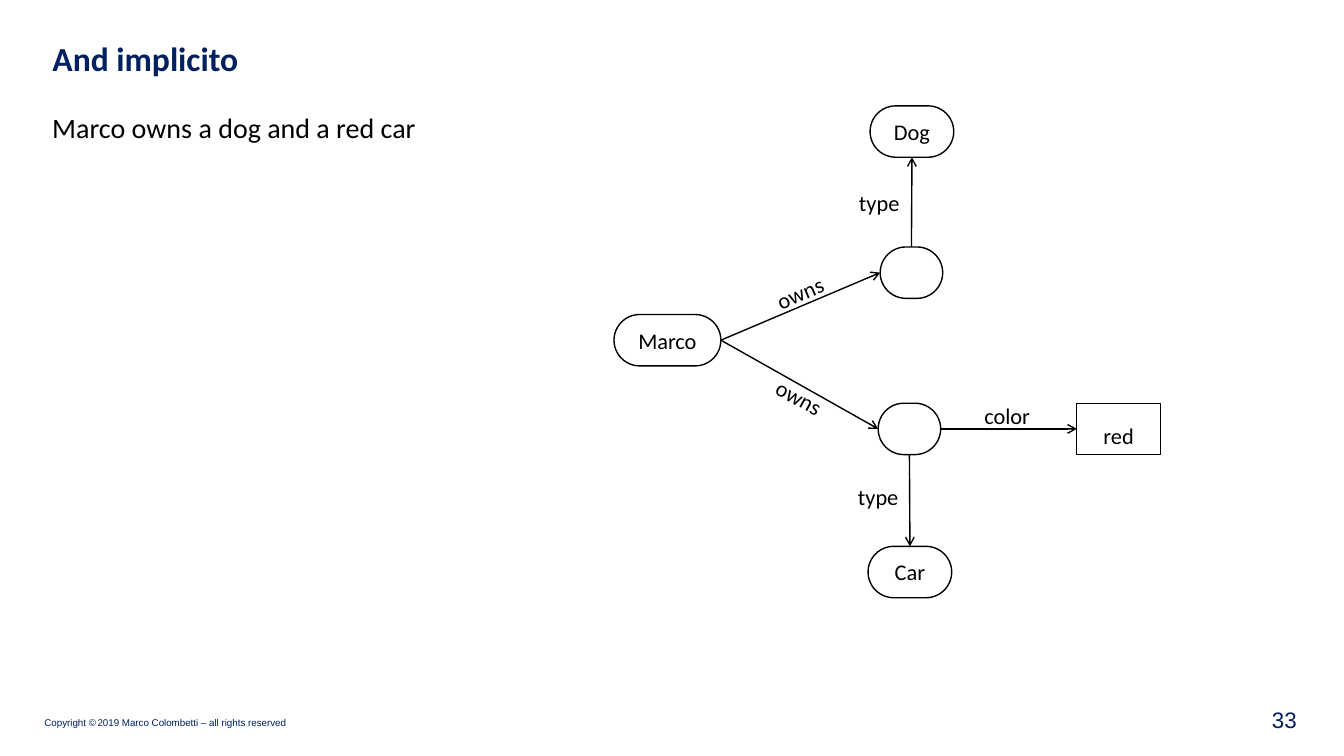
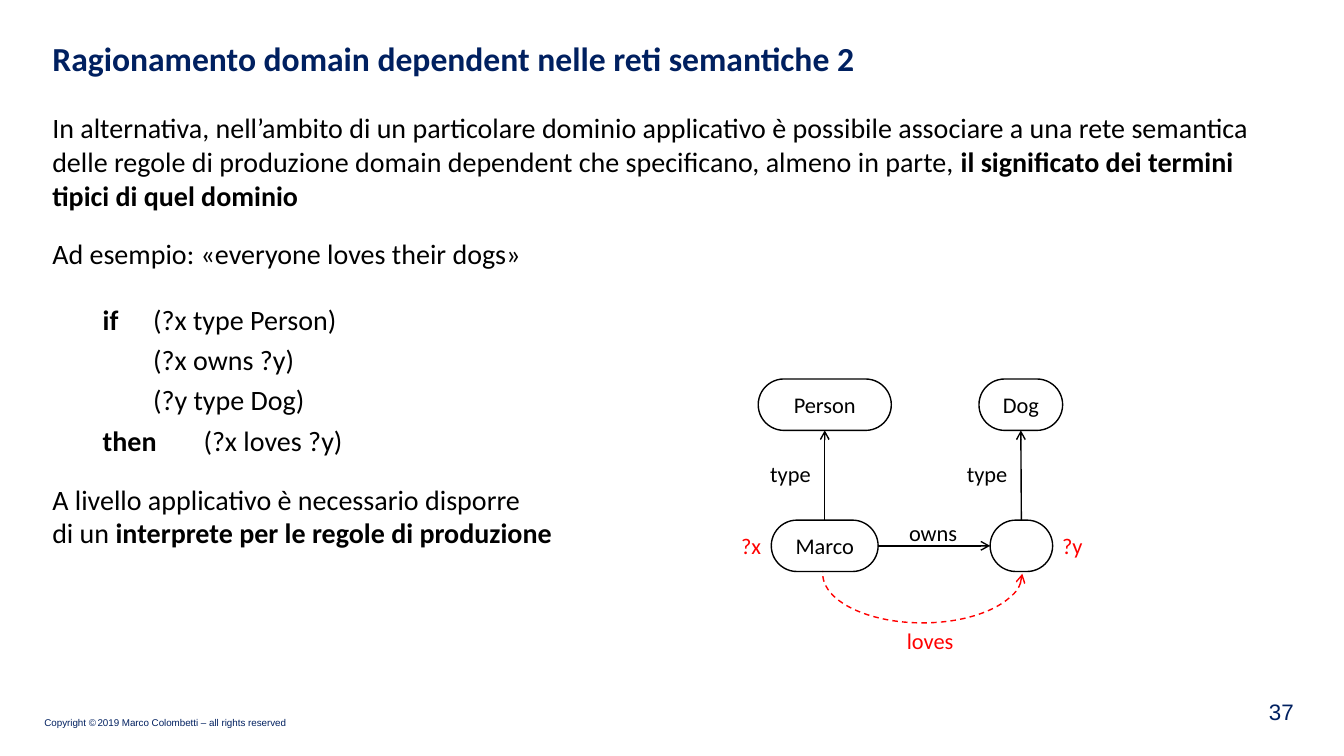
from dataclasses import dataclass

from lxml import etree
from pptx import Presentation
from pptx.dml.color import RGBColor
from pptx.enum.dml import MSO_LINE
from pptx.enum.shapes import MSO_CONNECTOR, MSO_SHAPE
from pptx.enum.text import MSO_ANCHOR, MSO_AUTO_SIZE, PP_ALIGN
from pptx.oxml.ns import qn
from pptx.util import Inches, Pt

LEFT, CENTER, RIGHT = PP_ALIGN.LEFT, PP_ALIGN.CENTER, PP_ALIGN.RIGHT
TOP, MIDDLE, BOTTOM = MSO_ANCHOR.TOP, MSO_ANCHOR.MIDDLE, MSO_ANCHOR.BOTTOM
ROUND, RECT, ARC = MSO_SHAPE.ROUNDED_RECTANGLE, MSO_SHAPE.RECTANGLE, MSO_SHAPE.ARC
STRAIGHT, DASH, FIT = MSO_CONNECTOR.STRAIGHT, MSO_LINE.DASH, MSO_AUTO_SIZE.SHAPE_TO_FIT_TEXT
NORTH, WEST, SOUTH, EAST = range(4)


@dataclass(frozen=True)
class Theme:
    """Hold the colours, fonts and sizes of the deck."""
    navy: RGBColor = RGBColor(0x00, 0x20, 0x60)
    black: RGBColor = RGBColor(0, 0, 0)
    red: RGBColor = RGBColor(0xFF, 0, 0)
    main: str = "Calibri"
    foot: str = "Arial"
    title: float = 24
    body: float = 20
    node: float = 16
    page: float = 16
    small: float = 7
    thin: float = 4
    line: float = 1
    tall: float = 0.51
    label: float = 0.37


T = Theme()


def area(box):
    """Turn a box in inches into lengths."""
    return [Inches(side) for side in box]


def write(para, text, size, color=T.black, bold=False, font=T.main):
    """Add one run to a paragraph."""
    run = para.add_run()
    run.text = text
    run.font.name, run.font.size, run.font.bold = font, Pt(size), bold
    run.font.color.rgb = color


def panel(slide, box, anchor=TOP, wrap=True):
    """Add an empty text box and return its frame."""
    frame = slide.shapes.add_textbox(*area(box)).text_frame
    frame.word_wrap, frame.vertical_anchor = wrap, anchor
    return frame


def stroke(shape, color=T.black, end=None):
    """Style a line, with an arrow at one end if asked."""
    shape.line.color.rgb = color
    shape.line.width = Pt(T.line)
    if end:
        line = shape.element.spPr.find(qn("a:ln"))
        etree.SubElement(line, qn(end), type="arrow")


def head(slide, box, text):
    """Place the title."""
    title = slide.shapes.title
    title.left, title.top, title.width, title.height = area(box)
    frame = title.text_frame
    frame.vertical_anchor = TOP
    para = frame.paragraphs[0]
    para.alignment = LEFT
    write(para, text, T.title, T.navy, True)


def foot(slide, box):
    """Place the copyright line."""
    frame = panel(slide, box, BOTTOM, False)
    frame.margin_left = frame.margin_right = Inches(0.02)
    frame.margin_top = frame.margin_bottom = Inches(0.02)
    para = frame.paragraphs[0]
    for text, size in (("Copyright ©", T.small), (" ", T.thin),
                       ("2019 Marco Colombetti – all rights reserved", T.small)):
        write(para, text, size, T.navy, font=T.foot)


def page(slide, box, number):
    """Place the page number."""
    para = panel(slide, box, MIDDLE).paragraphs[0]
    para.alignment = RIGHT
    write(para, number, T.page, T.navy, font=T.foot)


def body(slide, box, items):
    """Place paragraphs given as gap, line spacing and runs."""
    frame = panel(slide, box)
    for index, (gap, lead, runs) in enumerate(items):
        para = frame.add_paragraph() if index else frame.paragraphs[0]
        para.space_before, para.line_spacing = Pt(gap), lead
        tabs = etree.SubElement(para._p.get_or_add_pPr(), qn("a:tabLst"))
        for stop in (0.5, 1, 1.5):
            etree.SubElement(tabs, qn("a:tab"), pos=str(Inches(stop)), algn="l")
        for text, bold in runs:
            if text == "\n":
                para.add_line_break()
            else:
                write(para, text, T.body, bold=bold)


def node(slide, box, text, kind=ROUND):
    """Draw one node of a graph."""
    shape = slide.shapes.add_shape(kind, *area(box))
    shape.shadow.inherit = False
    shape.fill.background()
    stroke(shape)
    frame = shape.text_frame
    frame.vertical_anchor = MIDDLE
    para = frame.paragraphs[0]
    para.alignment = CENTER
    if kind == ROUND:
        shape.adjustments[0] = 0.5
    else:
        para.line_spacing = 1.5
    if text:
        write(para, text, T.node)
    return shape


def link(slide, start, side, stop, port):
    """Join two nodes with an arrow."""
    line = slide.shapes.add_connector(STRAIGHT, 0, 0, 0, 0)
    line.begin_connect(start, side)
    line.end_connect(stop, port)
    stroke(line, end="a:tailEnd")
    etree.SubElement(line.element.spPr, qn("a:effectLst"))


def label(slide, box, text, turn=0, color=T.black):
    """Place one label, turned by some degrees."""
    shape = slide.shapes.add_textbox(*area(box))
    shape.rotation = turn
    frame = shape.text_frame
    frame.word_wrap, frame.auto_size = False, FIT
    para = frame.paragraphs[0]
    para.alignment = CENTER
    write(para, text, T.node, color)


def graph(slide, box, nodes, links, labels):
    """Draw nodes, links and labels from the corner of a box."""
    left, top = box[:2]
    made = {}
    for key, (x, y, wide, *look) in nodes.items():
        made[key] = node(slide, (left + x, top + y, wide, T.tall), *look)
    for start, side, stop, port in links:
        link(slide, made[start], side, made[stop], port)
    for x, y, wide, *look in labels:
        label(slide, (left + x, top + y, wide, T.label), *look)


def curve(slide, box):
    """Draw the dashed lower half of an oval, ending at the right."""
    arc = slide.shapes.add_shape(ARC, *area(box))
    arc.shadow.inherit = False
    arc.fill.background()
    arc.adjustments[0], arc.adjustments[1] = 0.06, 108.88
    arc.line.dash_style = DASH
    stroke(arc, T.red, "a:headEnd")


def frame(deck, title, number, spot):
    """Add a slide with its title, footer and page number."""
    slide = deck.slides.add_slide(deck.slide_layouts[5])
    foot(slide, (0.42, 7.09, 2.51, 0.16))
    head(slide, (0.42, 0.33, 12.51, 0.65), title)
    page(slide, (*spot, 0.55, 0.35), number)
    return slide


def owner(deck):
    """Build the slide on the implicit and."""
    slide = frame(deck, "And implicito", "33", (12.41, 6.96))
    body(slide, (0.42, 1.05, 5.5, 5.54),
         [(0, 1, [("Marco owns a dog and a red car", False)])])
    nodes = {
        "marco": (0, 2.07, 1.06, "Marco"),
        "dog": (2.54, 0, 0.83, "Dog"),
        "pet": (2.64, 1.4, 0.62, ""),
        "car": (2.52, 4.37, 0.83, "Car"),
        "auto": (2.62, 2.95, 0.62, ""),
        "red": (4.59, 2.95, 0.83, "red", RECT),
    }
    links = [
        ("marco", EAST, "pet", WEST),
        ("pet", NORTH, "dog", SOUTH),
        ("marco", EAST, "auto", WEST),
        ("auto", SOUTH, "car", NORTH),
        ("auto", EAST, "red", WEST),
    ]
    labels = [
        (2.28, 0.78, 0.7, "type"),
        (1.5, 1.67, 0.69, "owns", -22.9),
        (1.49, 2.71, 0.69, "owns", 28.7),
        (2.27, 3.69, 0.7, "type"),
        (3.57, 2.89, 0.66, "color"),
    ]
    graph(slide, (6.09, 1.05, 5.42, 4.88), nodes, links, labels)


def rules(deck):
    """Build the slide on production rules."""
    slide = frame(deck, "Ragionamento domain dependent nelle reti semantiche 2",
                  "37", (12.38, 6.88))
    body(slide, (0.42, 1.05, 12.11, 5.94), [
        (0, 1, [("In alternativa, nell’ambito di un particolare dominio applicativo "
                 "è possibile associare a una rete semantica delle regole di produzione "
                 "domain dependent che specificano, almeno in parte, ", False),
                ("il significato dei termini tipici di quel dominio", True)]),
        (18, 1, [("Ad esempio: «everyone loves their dogs»", False)]),
        (18, 1.2, [("\tif", True), ("\t(?x type Person)", False)]),
        (0, 1.2, [("\t\t(?x owns ?y)", False)]),
        (0, 1.2, [("\t\t(?y type Dog)", False)]),
        (0, 1.2, [("\tthen", True), ("\t(?x loves ?y)", False)]),
        (18, 1, [("A livello applicativo è necessario disporre", False), ("\n", False),
                 ("di un ", False), ("interprete per le regole di produzione", True)]),
    ])
    nodes = {
        "marco": (0.4, 1.4, 1.06, "Marco"),
        "dog": (2.46, 0, 0.83, "Dog"),
        "pet": (2.57, 1.4, 0.62, ""),
        "person": (0.27, 0, 1.32, "Person"),
    }
    links = [
        ("marco", EAST, "pet", WEST),
        ("pet", NORTH, "dog", SOUTH),
        ("marco", NORTH, "person", SOUTH),
    ]
    labels = [
        (2.19, 0.76, 0.7, "type"),
        (1.66, 1.34, 0.69, "owns"),
        (0.24, 0.76, 0.7, "type"),
        (0, 1.47, 0.4, "?x", 0, T.red),
        (3.18, 1.47, 0.41, "?y", 0, T.red),
        (1.64, 2.41, 0.67, "loves", 0, T.red),
    ]
    curve(slide, (8.16, 5.2, 1.98, 0.98))
    graph(slide, (7.25, 3.76, 3.59, 2.78), nodes, links, labels)


def main():
    """Build and save the deck."""
    deck = Presentation()
    deck.slide_width, deck.slide_height = Inches(13.33), Inches(7.5)
    owner(deck)
    rules(deck)
    deck.save("out.pptx")


main()
